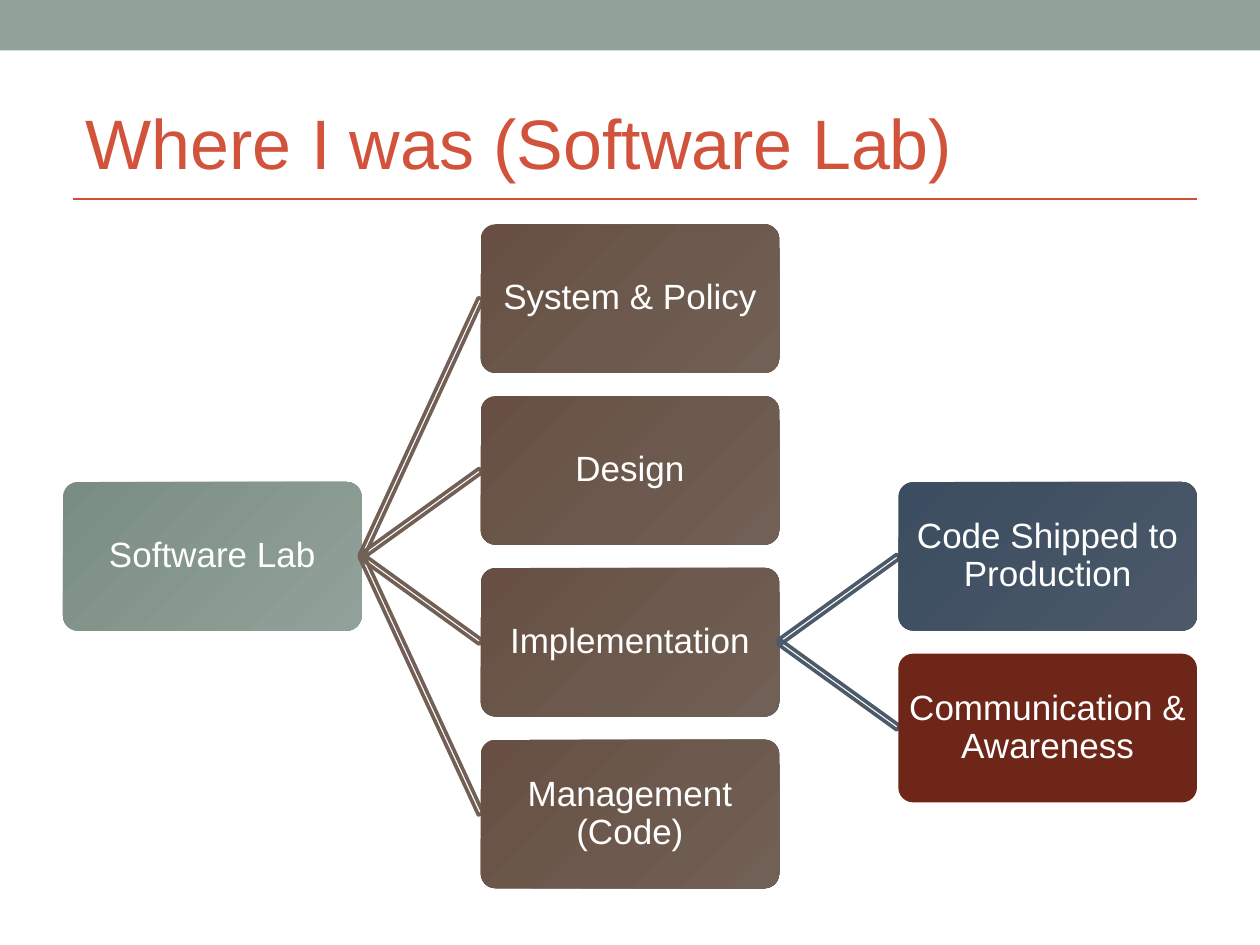
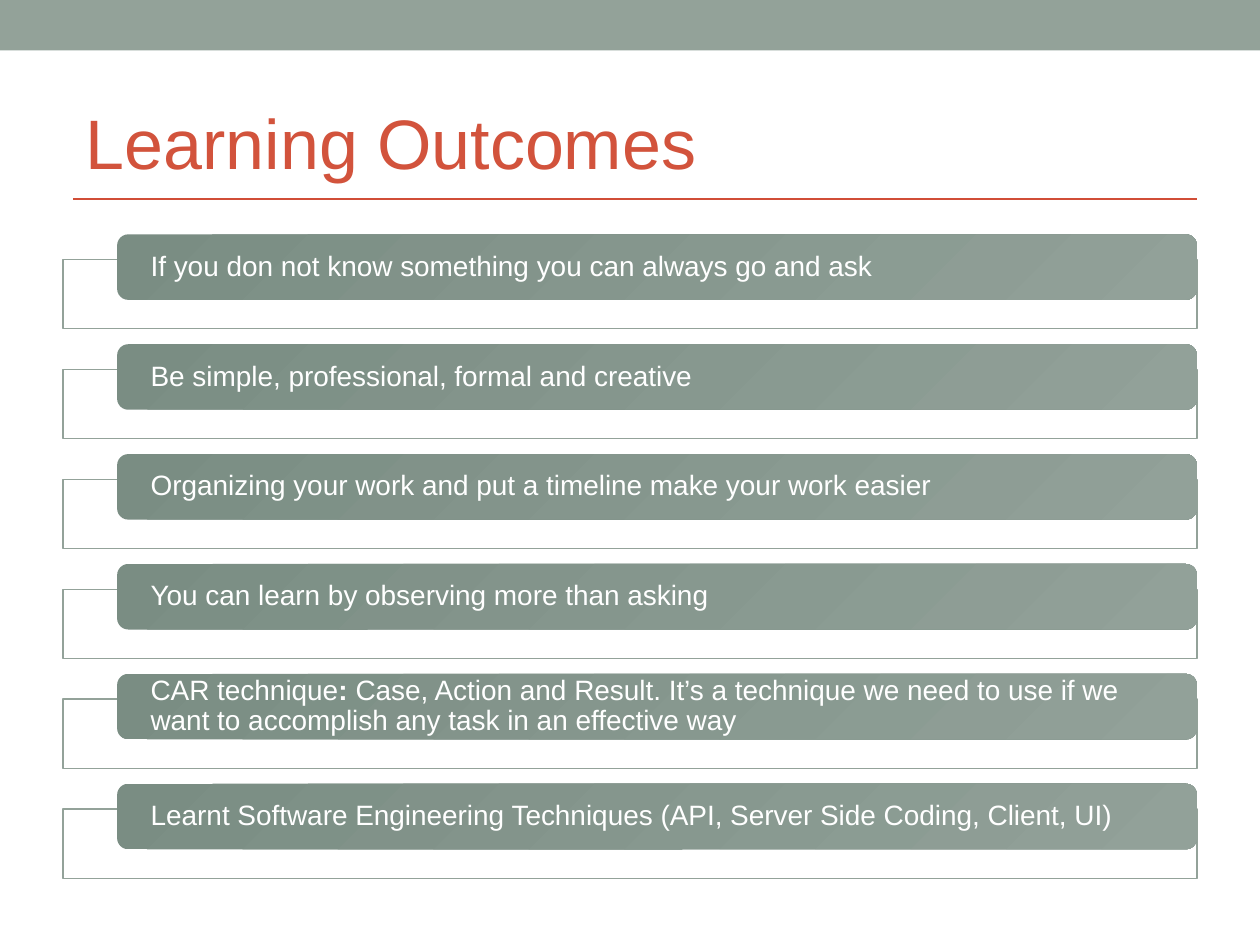
from dataclasses import dataclass
from math import atan2, degrees, hypot

from lxml import etree
from pptx import Presentation
from pptx.dml.color import RGBColor
from pptx.enum.shapes import MSO_CONNECTOR, MSO_SHAPE
from pptx.enum.text import MSO_ANCHOR, MSO_AUTO_SIZE, PP_ALIGN
from pptx.oxml.ns import qn
from pptx.shapes.autoshape import Shape
from pptx.slide import Slide
from pptx.util import Inches, Pt

FONT = "Arial"
WHITE = RGBColor(0xFF, 0xFF, 0xFF)
TITLE_RED = RGBColor(0xD2, 0x53, 0x3C)
RULE_RED = RGBColor(0xD1, 0x4D, 0x37)
SAGE = RGBColor(0x93, 0xA2, 0x99)
BROWN_LINK = RGBColor(0x72, 0x60, 0x56)
BLUE_LINK = RGBColor(0x4C, 0x5A, 0x6A)

# Fills hold a start and an end colour; a single colour is a solid fill.
Fill = tuple[RGBColor, ...]
SAGE_FILL: Fill = (RGBColor(0x7A, 0x8D, 0x83), RGBColor(0x92, 0xA1, 0x99))
BROWN_FILL: Fill = (RGBColor(0x67, 0x50, 0x43), RGBColor(0x71, 0x60, 0x55))
BLUE_FILL: Fill = (RGBColor(0x3B, 0x4D, 0x60), RGBColor(0x4B, 0x59, 0x69))
RUST_FILL: Fill = (RGBColor(0x6E, 0x26, 0x19),)

# Tree grid
NODE_W, NODE_H = 2.37, 1.18
TREE_LEFT, TREE_TOP = 0.5, 1.78
COLUMN_PITCH = (7.13 - TREE_LEFT) / 2
SLOT_PITCH = (5.87 - TREE_TOP) / 3
LINK_H = 0.04

# Outcome list
FRAME_TOP, FRAME_H = 2.06, 0.55
BAR_RISE, BAR_H = 0.2, 0.52
OUTCOME_PITCH = (6.42 - FRAME_TOP) / 5


@dataclass(frozen=True)
class Node:
    text: str
    fill: Fill
    link_color: RGBColor = BROWN_LINK
    children: tuple["Node", ...] = ()


@dataclass(frozen=True)
class Run:
    text: str
    bold: bool = False


SOFTWARE_LAB = Node("Software Lab", SAGE_FILL, BROWN_LINK, (
    Node("System & Policy", BROWN_FILL),
    Node("Design", BROWN_FILL),
    Node("Implementation", BROWN_FILL, BLUE_LINK, (
        Node("Code Shipped to Production", BLUE_FILL),
        Node("Communication & Awareness", RUST_FILL),
    )),
    Node("Management (Code)", BROWN_FILL),
))

OUTCOMES: list[list[Run]] = [
    [Run("If you don not know something you can always go and ask")],
    [Run("Be simple, professional, formal and creative")],
    [Run("Organizing your work and put a timeline make your work easier")],
    [Run("You can learn by observing more than asking")],
    [Run("CAR technique"), Run(": ", bold=True),
     Run("Case, Action and Result. It’s a technique we need to use if we "
         "want to accomplish any task in an effective way")],
    [Run("Learnt Software Engineering Techniques "
         "(API, Server Side Coding, Client, UI)")],
]


def add_box(s: Slide, kind: MSO_SHAPE, left: float, top: float,
            width: float, height: float) -> Shape:
    """Add a shape without shadow, fill or line."""
    sp = s.shapes.add_shape(kind, Inches(left), Inches(top),
                            Inches(width), Inches(height))
    sp.shadow.inherit = False
    sp.fill.background()
    sp.line.fill.background()
    return sp


def apply_fill(sp: Shape, colors: Fill) -> None:
    if len(colors) == 1:
        sp.fill.solid()
        sp.fill.fore_color.rgb = colors[0]
        return
    sp.fill.gradient()
    sp.fill.gradient_angle = 315
    for stop, color in zip(sp.fill.gradient_stops, colors):
        stop.color.rgb = color


def add_card(s: Slide, left: float, top: float, width: float, height: float,
             corner: float, fill: Fill, runs: list[Run], size: int,
             align: PP_ALIGN, inset_x: float, inset_y: float) -> None:
    """Add a rounded, filled rectangle with white text."""
    sp = add_box(s, MSO_SHAPE.ROUNDED_RECTANGLE, left, top, width, height)
    sp.adjustments[0] = corner
    apply_fill(sp, fill)
    tf = sp.text_frame
    tf.word_wrap = True
    tf.vertical_anchor = MSO_ANCHOR.MIDDLE
    tf.margin_left = tf.margin_right = Inches(inset_x)
    tf.margin_top = tf.margin_bottom = Inches(inset_y)
    p = tf.paragraphs[0]
    p.alignment = align
    p.line_spacing = 0.9
    p.font.name = FONT
    p.font.size = Pt(size)
    p.font.color.rgb = WHITE
    for run in runs:
        r = p.add_run()
        r.text = run.text
        if run.bold:
            r.font.bold = True
        r.font.color.rgb = WHITE


def add_link(s: Slide, x1: float, y1: float, x2: float, y2: float,
             color: RGBColor) -> None:
    """Join two points with a thin, outlined, rotated bar."""
    length = hypot(x2 - x1, y2 - y1)
    sp = add_box(s, MSO_SHAPE.RECTANGLE, (x1 + x2 - length) / 2,
                 (y1 + y2 - LINK_H) / 2, length, LINK_H)
    sp.rotation = degrees(atan2(y2 - y1, x2 - x1))
    sp.line.color.rgb = color
    sp.line.width = Pt(2.07)


def add_tree(s: Slide, node: Node, column: int, slot: float) -> None:
    """Draw a node, then its children centred on it in the next column."""
    left = TREE_LEFT + column * COLUMN_PITCH
    top = TREE_TOP + slot * SLOT_PITCH
    add_card(s, left, top, NODE_W, NODE_H, 0.1, node.fill, [Run(node.text)],
             20, PP_ALIGN.CENTER, 0.01, 0.05)
    middle = top + NODE_H / 2
    first_offset = -(len(node.children) - 1) / 2
    for i, child in enumerate(node.children):
        offset = first_offset + i
        add_link(s, left + NODE_W, middle, left + COLUMN_PITCH,
                 middle + offset * SLOT_PITCH, node.link_color)
        add_tree(s, child, column + 1, slot + offset)


def add_outcome(s: Slide, row: int, runs: list[Run]) -> None:
    top = FRAME_TOP + row * OUTCOME_PITCH
    frame = add_box(s, MSO_SHAPE.RECTANGLE, 0.5, top, 9, FRAME_H)
    apply_fill(frame, (WHITE,))
    frame.line.color.rgb = SAGE
    frame.line.width = Pt(0.75)
    add_card(s, 0.93, top - BAR_RISE, 8.57, BAR_H, 0.17, SAGE_FILL, runs,
             16, PP_ALIGN.LEFT, 0.24, 0.03)


def add_titled_slide(prs: Presentation, title: str) -> Slide:
    """Add a slide with the top band, the title and the rule under it."""
    s = prs.slides.add_slide(prs.slide_layouts[5])
    band = add_box(s, MSO_SHAPE.RECTANGLE, 0, 0, 10, 0.4)
    apply_fill(band, (SAGE,))

    sp = s.shapes.title
    sp.left, sp.top = Inches(0.58), Inches(0.58)
    sp.width, sp.height = Inches(9), Inches(1.08)
    tf = sp.text_frame
    tf.text = title
    tf.word_wrap = True
    tf.auto_size = MSO_AUTO_SIZE.NONE
    tf.vertical_anchor = MSO_ANCHOR.MIDDLE
    p = tf.paragraphs[0]
    p.alignment = PP_ALIGN.LEFT
    p.font.name = FONT
    p.font.size = Pt(40)
    p.font.color.rgb = TITLE_RED

    rule = s.shapes.add_connector(MSO_CONNECTOR.STRAIGHT, Inches(0.58),
                                  Inches(1.58), Inches(9.5), Inches(1.58))
    rule.line.color.rgb = RULE_RED
    rule.line.width = Pt(1.5)
    etree.SubElement(rule._element.spPr, qn("a:effectLst"))
    return s


def main() -> None:
    prs = Presentation()
    prs.slide_width, prs.slide_height = Inches(10), Inches(7.5)

    s = add_titled_slide(prs, "Where I was (Software Lab)")
    add_tree(s, SOFTWARE_LAB, 0, 1.5)

    s = add_titled_slide(prs, "Learning Outcomes")
    for row, runs in enumerate(OUTCOMES):
        add_outcome(s, row, runs)

    prs.save("out.pptx")


if __name__ == "__main__":
    main()
